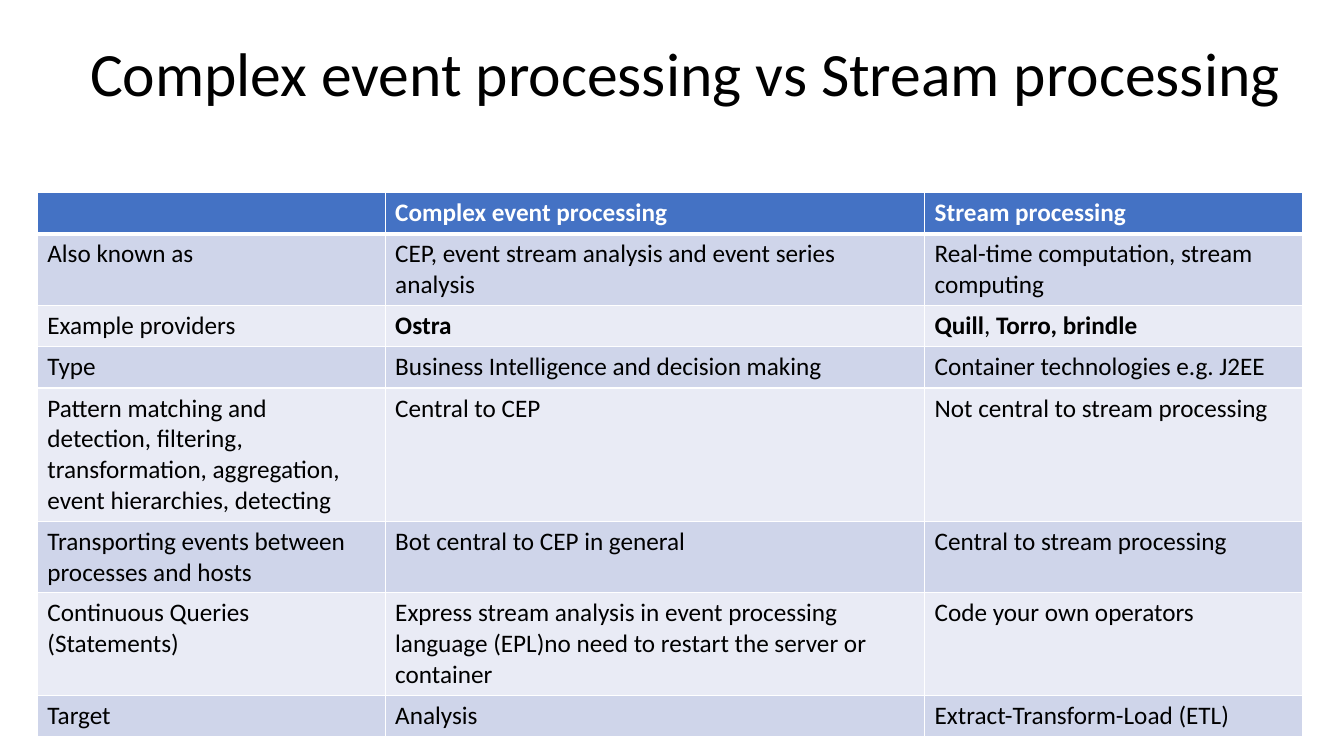
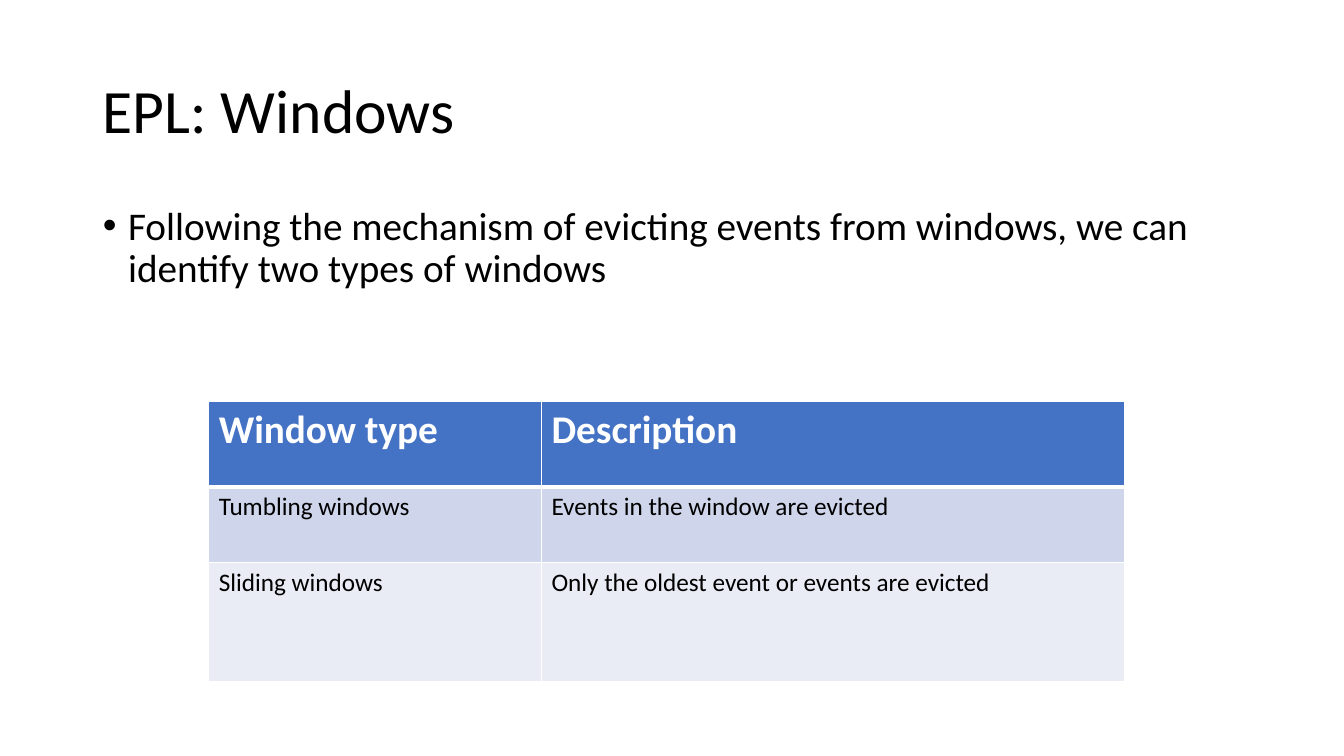
from lxml import etree
from pptx import Presentation
from pptx.dml.color import RGBColor
from pptx.enum.text import MSO_ANCHOR, MSO_AUTO_SIZE, PP_ALIGN
from pptx.oxml.ns import qn
from pptx.util import Inches, Pt

LEFT, CENTER = PP_ALIGN.LEFT, PP_ALIGN.CENTER
TOP, MIDDLE = MSO_ANCHOR.TOP, MSO_ANCHOR.MIDDLE
NO_AUTOFIT = MSO_AUTO_SIZE.NONE

FONT = "Calibri"
COLORS = {
    "text": "000000",
    "white": "FFFFFF",
    "header": "4472C4",
    "odd_row": "CFD5EA",
    "even_row": "E9EBF5",
}
TITLE_SIZE, BODY_SIZE, CELL_SIZE = 44, 28, 18
LINE_SPACING = 0.9
THIN, THICK = 1, 3
CONTENT_LEFT, CONTENT_WIDTH = 0.92, 11.5
TITLE_HEIGHT = 1.45
LAYOUT_CONTENT, LAYOUT_TITLE_ONLY = 1, 5

COMPARISON = [
    ["", "Complex event processing", "Stream processing"],
    ["Also known as",
     "CEP, event stream analysis and event series analysis",
     "Real-time computation, stream computing"],
    ["Example providers",
     [("Ostra", True)],
     [("Quill", True), (", ", False), ("Torro, brindle", True)]],
    ["Type", "Business Intelligence and decision making",
     "Container technologies e.g. J2EE"],
    ["Pattern matching and detection, filtering, transformation, "
     "aggregation, event hierarchies, detecting",
     "Central to CEP", "Not central to stream processing"],
    ["Transporting events between processes and hosts",
     "Bot central to CEP in general", "Central to stream processing"],
    ["Continuous Queries (Statements)",
     "Express stream analysis in event processing language (EPL)"
     "no need to restart the server or container",
     "Code your own operators"],
    ["Target", "Analysis", "Extract-Transform-Load (ETL)"],
]

WINDOW_TYPES = [
    ["Window type", "Description"],
    ["Tumbling windows", "Events in the window are evicted"],
    ["Sliding windows", "Only the oldest event or events are evicted"],
]


def rgb(name):
    return RGBColor.from_string(COLORS[name])


def format_run(run, size, color="text", bold=False):
    run.font.name = FONT
    run.font.size = Pt(size)
    run.font.bold = bold
    run.font.color.rgb = rgb(color)


def fill_placeholder(shape, box, text, size, alignment, anchor):
    shape.left, shape.top, shape.width, shape.height = map(Inches, box)
    text_frame = shape.text_frame
    text_frame.text = text
    text_frame.word_wrap = True
    text_frame.auto_size = NO_AUTOFIT
    text_frame.vertical_anchor = anchor
    paragraph = text_frame.paragraphs[0]
    paragraph.alignment = alignment
    paragraph.line_spacing = LINE_SPACING
    format_run(paragraph.runs[0], size)
    return paragraph


def add_title(slide, box, text, alignment=LEFT):
    fill_placeholder(slide.shapes.title, box, text, TITLE_SIZE, alignment, MIDDLE)


def add_bullet(slide, box, text):
    paragraph = fill_placeholder(
        slide.placeholders[1], box, text, BODY_SIZE, LEFT, TOP)
    paragraph.space_before = Pt(10)
    properties = paragraph._p.get_or_add_pPr()
    properties.set("marL", str(Inches(0.25)))
    properties.set("indent", str(-Inches(0.25)))
    etree.SubElement(properties, qn("a:buFont"), typeface="Arial")
    etree.SubElement(properties, qn("a:buChar"), char="•")


def set_borders(cell, top, bottom):
    properties = cell._tc.get_or_add_tcPr()
    widths = {"a:lnL": THIN, "a:lnR": THIN, "a:lnT": top, "a:lnB": bottom}
    for side, width in widths.items():
        line = etree.SubElement(properties, qn(side), w=str(Pt(width)))
        fill = etree.SubElement(line, qn("a:solidFill"))
        etree.SubElement(fill, qn("a:srgbClr"), val=COLORS["white"])


def fill_cell(cell, content, row_index, header_size):
    is_header = row_index == 0
    set_borders(cell,
                top=THICK if row_index == 1 else THIN,
                bottom=THICK if is_header else THIN)
    band = "header" if is_header else "odd_row" if row_index % 2 else "even_row"
    cell.fill.solid()
    cell.fill.fore_color.rgb = rgb(band)
    parts = [(content, is_header)] if isinstance(content, str) else content
    paragraph = cell.text_frame.paragraphs[0]
    for text, bold in parts:
        run = paragraph.add_run()
        run.text = text
        format_run(run, header_size if is_header else CELL_SIZE,
                   "white" if is_header else "text", bold)


def add_banded_table(slide, left, top, widths, heights, rows, header_size=CELL_SIZE):
    table = slide.shapes.add_table(
        len(rows), len(widths), Inches(left), Inches(top),
        Inches(sum(widths)), Inches(sum(heights))).table
    for column, width in zip(table.columns, widths):
        column.width = Inches(width)
    for row_index, (row, height) in enumerate(zip(rows, heights)):
        table.rows[row_index].height = Inches(height)
        for column_index, content in enumerate(row):
            fill_cell(table.cell(row_index, column_index), content,
                      row_index, header_size)


def add_slide(presentation, layout):
    return presentation.slides.add_slide(presentation.slide_layouts[layout])


def build_comparison_slide(presentation):
    slide = add_slide(presentation, LAYOUT_TITLE_ONLY)
    add_title(slide, (0, 0.03, 13.6, TITLE_HEIGHT),
              "Complex event processing vs Stream processing", CENTER)
    add_banded_table(slide, 0.37, 1.91, [3.45, 5.35, 3.75],
                     [0.41] * len(COMPARISON), COMPARISON)


def build_windows_slide(presentation):
    slide = add_slide(presentation, LAYOUT_CONTENT)
    add_title(slide, (CONTENT_LEFT, 0.4, CONTENT_WIDTH, TITLE_HEIGHT),
              "EPL: Windows")
    add_bullet(slide, (CONTENT_LEFT, 2, CONTENT_WIDTH, 4.76),
               "Following the mechanism of evicting events from windows, "
               "we can identify two types of windows")
    add_banded_table(slide, 2.07, 3.98, [3.3, 5.78], [0.85, 0.75, 1.18],
                     WINDOW_TYPES, header_size=BODY_SIZE)


def main():
    presentation = Presentation()
    presentation.slide_width = Inches(13.33)
    presentation.slide_height = Inches(7.5)
    build_comparison_slide(presentation)
    build_windows_slide(presentation)
    presentation.save("out.pptx")


if __name__ == "__main__":
    main()
